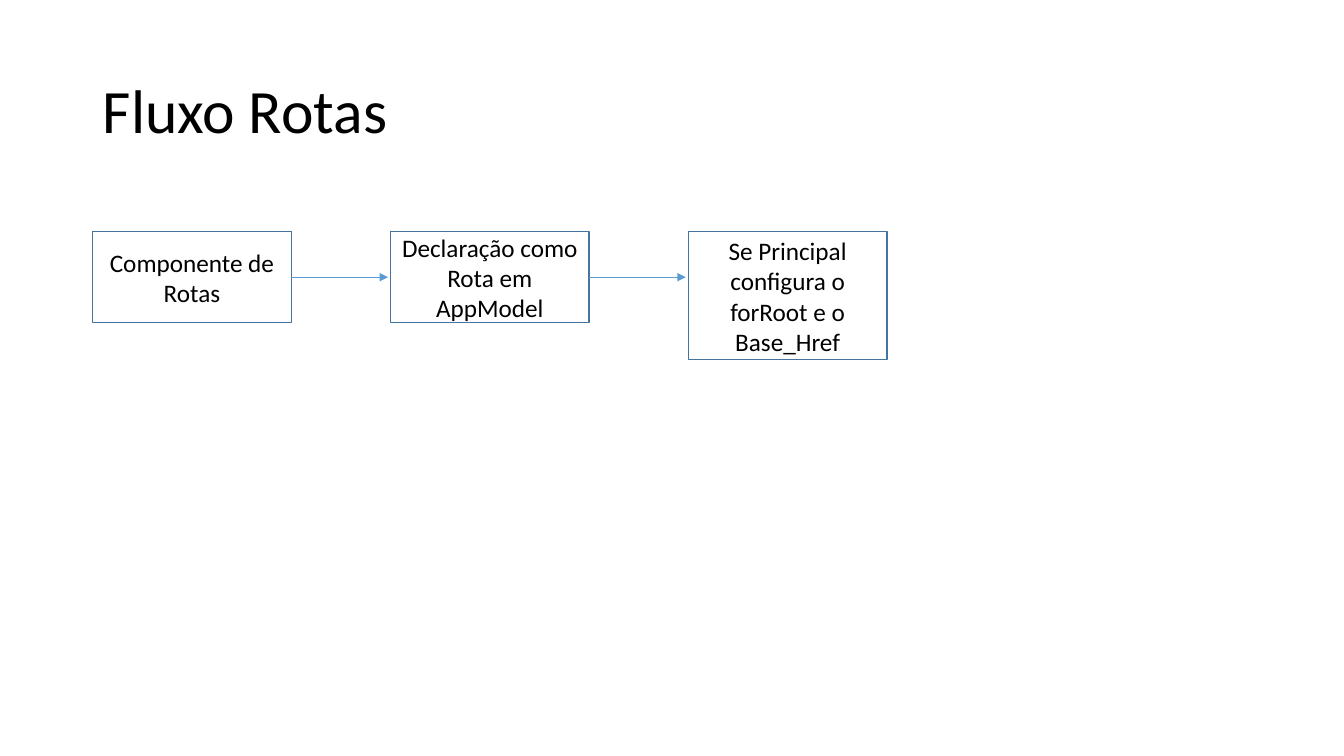
from lxml import etree
from pptx import Presentation
from pptx.dml.color import RGBColor
from pptx.enum.shapes import MSO_CONNECTOR, MSO_SHAPE
from pptx.enum.text import MSO_ANCHOR, PP_ALIGN
from pptx.oxml.ns import qn
from pptx.util import Pt

EMU_PER_PX = 4572
SLIDE_WIDTH, SLIDE_HEIGHT = 2667, 1500
TITLE_ONLY_LAYOUT = 5
RECTANGLE = MSO_SHAPE.RECTANGLE
STRAIGHT = MSO_CONNECTOR.STRAIGHT
MIDDLE = MSO_ANCHOR.MIDDLE
LEFT, CENTER = PP_ALIGN.LEFT, PP_ALIGN.CENTER

FONT, TEXT_COLOR = "Calibri", "000000"
BOX_LINE, ARROW_LINE = "43739E", "5B9BD5"
FLOW_LEFT, FLOW_TOP = 184, 460
BOX_WIDTH, BOX_PITCH = 394, 591
ARROW_Y, ARROW_LENGTH = 550, 192
STEPS = [
    ("Componente de Rotas", 180),
    ("Declaração como Rota em AppModel", 180),
    ("Se Principal configura o forRoot e o Base_Href", 254),
]


def px(value):
    """Convert whole pixels to EMU."""
    return value * EMU_PER_PX


def color(hex_string):
    """Turn a hex string into a colour."""
    return RGBColor.from_string(hex_string)


def apply_format(target, values):
    """Set every attribute named in a dict of format values."""
    for name, value in values.items():
        setattr(target, name, value)


def write_text(shape, text, size, alignment, line_spacing):
    """Put one formatted, vertically centred paragraph in a shape."""
    frame = shape.text_frame
    apply_format(frame, {"word_wrap": True, "vertical_anchor": MIDDLE})
    paragraph = frame.paragraphs[0]
    apply_format(paragraph, {"alignment": alignment, "line_spacing": line_spacing})
    run = paragraph.add_run()
    run.text = text
    apply_format(run.font, {"name": FONT, "size": Pt(size)})
    run.font.color.rgb = color(TEXT_COLOR)


def format_line(line, hex_string, width):
    """Give an outline or connector its colour and width."""
    line.color.rgb = color(hex_string)
    line.width = Pt(width)


def add_title(slide, text):
    """Place and fill the title placeholder."""
    title = slide.shapes.title
    apply_format(title, {"left": px(184), "top": px(80),
                         "width": px(2300), "height": px(290)})
    write_text(title, text, 44, LEFT, 0.9)


def add_step(slide, text, left, height):
    """Add one outlined box of the flow."""
    box = slide.shapes.add_shape(RECTANGLE, px(left), px(FLOW_TOP),
                                 px(BOX_WIDTH), px(height))
    box.shadow.inherit = False
    box.fill.background()
    format_line(box.line, BOX_LINE, 1)
    write_text(box, text, 18, CENTER, 1.0)


def add_arrow(slide, left):
    """Add a horizontal arrow pointing to the next step."""
    arrow = slide.shapes.add_connector(STRAIGHT, px(left), px(ARROW_Y),
                                       px(left + ARROW_LENGTH), px(ARROW_Y))
    format_line(arrow.line, ARROW_LINE, 0.5)
    etree.SubElement(arrow.line._get_or_add_ln(), qn("a:tailEnd"), type="triangle")
    etree.SubElement(arrow._element.spPr, qn("a:effectLst"))


def main():
    """Build the slide and save it."""
    presentation = Presentation()
    apply_format(presentation, {"slide_width": px(SLIDE_WIDTH),
                                "slide_height": px(SLIDE_HEIGHT)})
    layout = presentation.slide_layouts[TITLE_ONLY_LAYOUT]
    slide = presentation.slides.add_slide(layout)
    add_title(slide, "Fluxo Rotas")
    for index, (text, height) in enumerate(STEPS):
        left = FLOW_LEFT + index * BOX_PITCH
        add_step(slide, text, left, height)
        if index < len(STEPS) - 1:
            add_arrow(slide, left + BOX_WIDTH)
    presentation.save("out.pptx")


if __name__ == "__main__":
    main()
